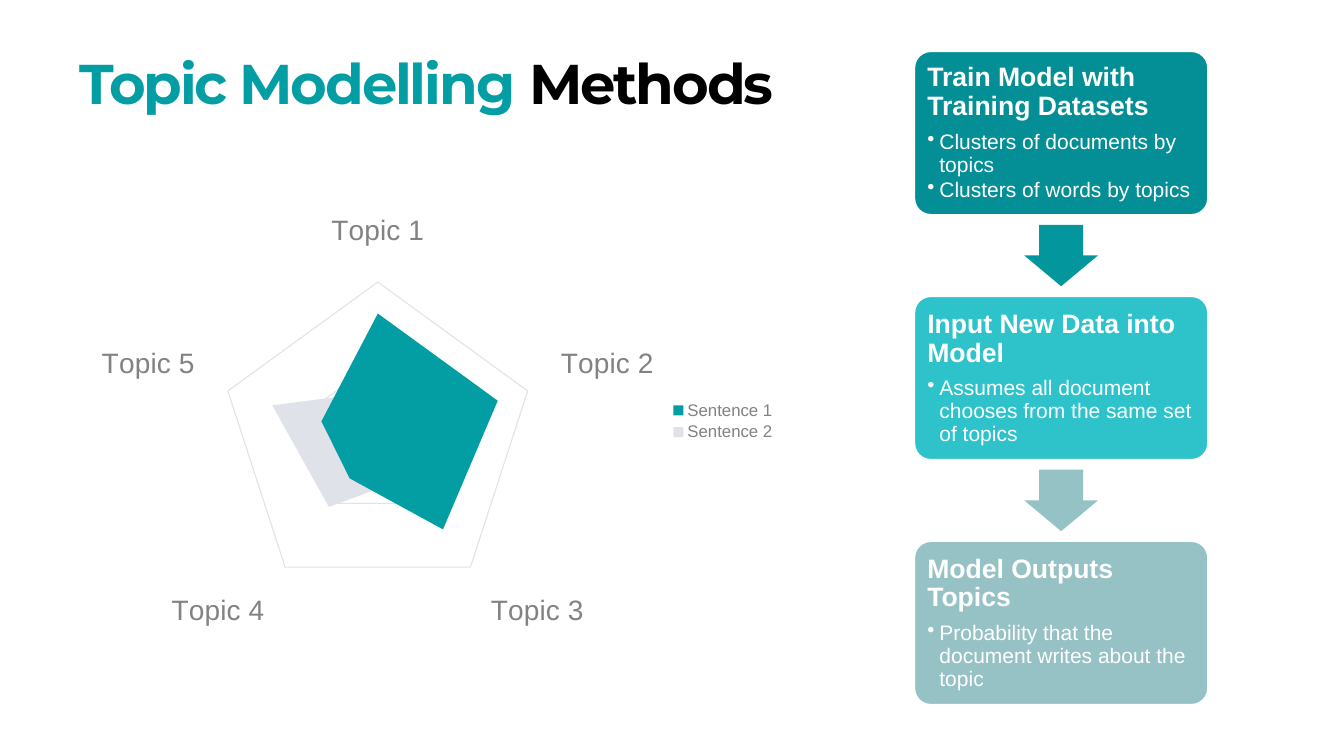
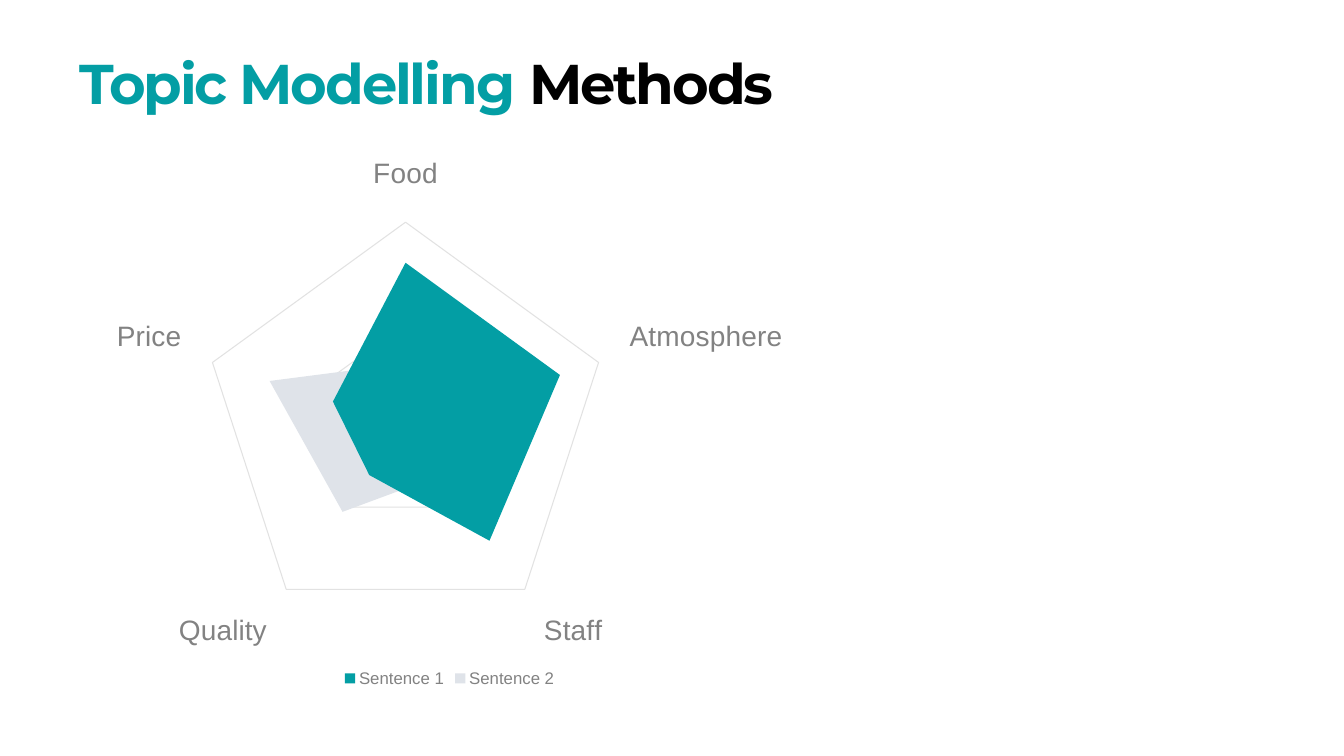
from pptx import Presentation
from pptx.chart.data import CategoryChartData
from pptx.dml.color import RGBColor
from pptx.enum.chart import XL_CHART_TYPE as Kind, XL_LEGEND_POSITION as Spot, XL_TICK_MARK as Tick
from pptx.enum.shapes import MSO_SHAPE as Form
from pptx.enum.text import MSO_ANCHOR as Anchor, MSO_AUTO_SIZE as Auto, PP_ALIGN as Align
from pptx.oxml import parse_xml
from pptx.oxml.ns import nsdecls
from pptx.util import Inches, Pt

TEAL, BLACK, WHITE = "039EA4", "000000", "FFFFFF"
PALE, GREY, GRID = "DFE3E9", "828282", "E2E2E2"
BODY, HEAD = "Arial", "Montserrat"

SCORES = [
    ("Sentence 1", (100, 100, 88, 38, 47), TEAL),
    ("Sentence 2", (38, 38, 38, 66, 88), PALE),
]
TOPICS = [f"Topic {n}" for n in range(1, 6)]
ASPECTS = ["Food", "Atmosphere", "Staff", "Quality", "Price"]

STEPS = [
    ("Train Model with Training Datasets",
     ["Clusters of documents by topics", "Clusters of words by topics"], "038F95"),
    ("Input New Data into Model",
     ["Assumes all document chooses from the same set of topics"], "2EC3CB"),
    ("Model Outputs Topics",
     ["Probability that the document writes about the topic"], "96C2C5"),
]
ARROWS = ["03979D", "95C2C5"]


def color(code):
    return RGBColor.from_string(code)


class Deck:
    def __init__(self):
        self.file = Presentation()
        self.file.slide_width = Inches(13.33)
        self.file.slide_height = Inches(7.5)
        self.slide = None

    def font(self, font, size, code, name=BODY, bold=False):
        font.size, font.name, font.bold = Pt(size), name, bold
        font.color.rgb = color(code)

    def line(self, line, code, width):
        line.color.rgb = color(code)
        line.width = Pt(width)

    def page(self, *parts):
        self.slide = self.file.slides.add_slide(self.file.slide_layouts[5])
        title = self.slide.shapes.title
        title.left, title.top = Inches(0.69), Inches(0.51)
        title.width, title.height = Inches(7.86), Inches(1.45)
        frame = title.text_frame
        frame.word_wrap = True
        frame.auto_size = Auto.NONE
        frame.vertical_anchor = Anchor.TOP
        para = frame.paragraphs[0]
        para.alignment = Align.LEFT
        para.line_spacing = 0.9
        for text, code in parts:
            run = para.add_run()
            run.text = text
            self.font(run.font, 40, code, HEAD, True)
            run._r.get_or_add_rPr().set("spc", "-150")

    def radar(self, left, top, width, height, names, spot):
        data = CategoryChartData()
        data.categories = names
        for name, values, _ in SCORES:
            data.add_series(name, values)
        chart = self.slide.shapes.add_chart(
            Kind.RADAR_FILLED, Inches(left), Inches(top),
            Inches(width), Inches(height), data).chart
        chart.has_title = False
        self.font(chart.font, 10, "3F3F3F")
        chart.plots[0].vary_by_categories = False
        for series, (_, _, code) in zip(chart.plots[0].series, SCORES):
            series.format.fill.solid()
            series.format.fill.fore_color.rgb = color(code)
            series.format.line.fill.background()

        for axis in (chart.category_axis, chart.value_axis):
            axis.has_major_gridlines = True
            self.line(axis.major_gridlines.format.line, GRID, 0.75)
        axis = chart.category_axis
        axis.major_tick_mark = axis.minor_tick_mark = Tick.NONE
        self.font(axis.tick_labels.font, 20, GREY)
        self.line(axis.format.line, GRID, 0.75)
        scale = chart.value_axis
        scale.visible = False
        scale.minimum_scale, scale.maximum_scale = 0, 125
        scale.major_unit = 62.5

        chart.has_legend = True
        chart.legend.position = spot
        chart.legend.include_in_layout = False
        self.font(chart.legend.font, 12, GREY)

    def shape(self, form, left, top, width, height, fill):
        shape = self.slide.shapes.add_shape(
            form, Inches(left), Inches(top), Inches(width), Inches(height))
        shape.shadow.inherit = False
        shape.fill.solid()
        shape.fill.fore_color.rgb = color(fill)
        shape.line.fill.background()
        return shape

    def arrow(self, left, top, width, height, fill):
        arrow = self.shape(Form.DOWN_ARROW, left, top, width, height, fill)
        arrow.adjustments[0], arrow.adjustments[1] = 0.6, 0.5

    def para(self, para, text, size, after, bold=False):
        para.text = text
        para.alignment = Align.LEFT
        para.line_spacing = 0.9
        para.space_after = Pt(after)
        self.font(para.runs[0].font, size, WHITE, bold=bold)

    def bullet(self, para):
        props = para._p.get_or_add_pPr()
        props.set("marL", str(Inches(0.12)))
        props.set("indent", str(Inches(-0.12)))
        props.append(parse_xml(f'<a:buChar {nsdecls("a")} char="•"/>'))

    def card(self, left, top, width, height, head, items, fill):
        card = self.shape(Form.ROUNDED_RECTANGLE, left, top, width, height, fill)
        card.adjustments[0] = 0.1
        self.line(card.line, WHITE, 1)
        frame = card.text_frame
        frame.word_wrap = True
        frame.vertical_anchor = Anchor.MIDDLE
        frame.margin_left = frame.margin_right = Inches(0.08)
        frame.margin_top = frame.margin_bottom = Inches(0.08)
        self.para(frame.paragraphs[0], head, 19, 7, True)
        for item in items:
            para = frame.add_paragraph()
            self.para(para, item, 15, 2)
            self.bullet(para)

    def flow(self, left, top, width, height, gap):
        wide, tall = 0.73, 0.61
        for n, step in enumerate(STEPS):
            y = top + n * (height + gap)
            self.card(left, y, width, height, *step)
            if n < len(ARROWS):
                self.arrow(left + (width - wide) / 2,
                           y + height + (gap - tall) / 2, wide, tall, ARROWS[n])


def main():
    deck = Deck()
    title = [("Topic Modelling ", TEAL), ("Methods", BLACK)]

    deck.page(*title)
    deck.radar(0.87, 1.48, 6.93, 5.4, TOPICS, Spot.RIGHT)
    deck.flow(9.07, 0.51, 2.91, 1.62, 0.81)

    deck.page(*title)
    deck.radar(0.69, 1.46, 7.54, 5.4, ASPECTS, Spot.BOTTOM)

    deck.file.save("out.pptx")


if __name__ == "__main__":
    main()
